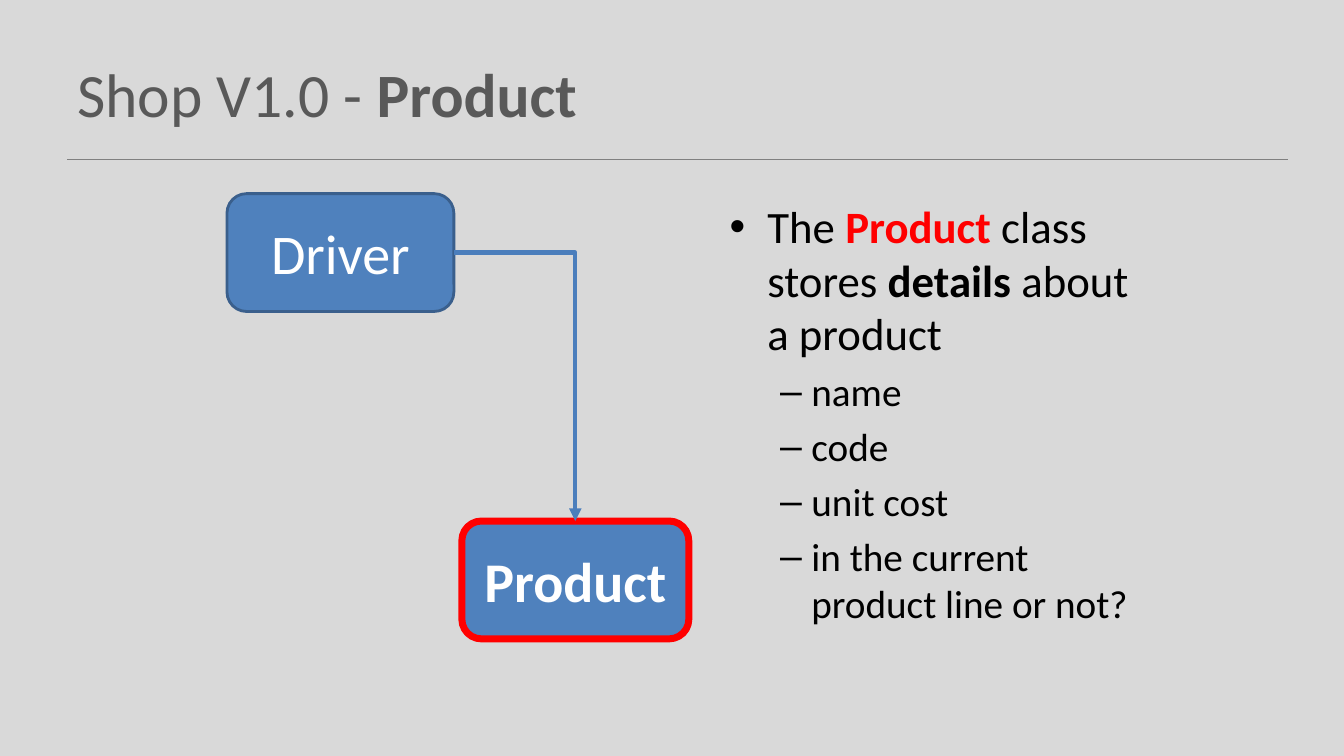
import pptx
import pptx.dml.color
import pptx.enum.shapes
import pptx.enum.text
import pptx.oxml
import pptx.oxml.ns
import pptx.util
from pptx.dml.color import RGBColor
from pptx.util import Cm

BACKGROUND = RGBColor(0xD9, 0xD9, 0xD9)
TITLE_GREY = RGBColor(0x59, 0x59, 0x59)
RULE_GREY = RGBColor(0x80, 0x80, 0x80)
BLUE = RGBColor(0x4F, 0x81, 0xBD)
BLUE_EDGE = RGBColor(0x3A, 0x5F, 0x8C)
ARROW_BLUE = RGBColor(0x4B, 0x7E, 0xBC)
RED = RGBColor(0xFF, 0x00, 0x00)
BLACK = RGBColor(0x00, 0x00, 0x00)
WHITE = RGBColor(0xFF, 0xFF, 0xFF)

FONT = "Calibri"
CLASS_BOX = Cm(5.72), Cm(2.97)
TOP_SITE, RIGHT_SITE = 0, 3


def add_runs(paragraph, runs, size):
    """Add (text, colour, bold) runs to the paragraph."""
    for text, colour, bold in runs:
        run = paragraph.add_run()
        run.text = text
        run.font.name = FONT
        run.font.size = pptx.util.Pt(size)
        run.font.color.rgb = colour
        run.font.bold = bold


def style_line(connector, colour, width):
    connector.line.color.rgb = colour
    connector.line.width = pptx.util.Pt(width)
    properties = connector._element.spPr
    properties.append(pptx.oxml.ns.qn and pptx.oxml.parse_xml(
        f'<a:effectLst {pptx.oxml.ns.nsdecls("a")}/>'))


def set_bullet(paragraph, symbol, indent, hanging):
    properties = paragraph._p.get_or_add_pPr()
    properties.set("marL", str(indent))
    properties.set("indent", str(-hanging))
    namespace = pptx.oxml.ns.nsdecls("a")
    properties.append(pptx.oxml.parse_xml(f'<a:buFont {namespace} typeface="Arial"/>'))
    properties.append(pptx.oxml.parse_xml(f'<a:buChar {namespace} char="{symbol}"/>'))


def add_heading(slide, left, top, width, height):
    heading = slide.shapes.add_textbox(left, top, width, height).text_frame
    heading.word_wrap = True
    heading.vertical_anchor = pptx.enum.text.MSO_ANCHOR.MIDDLE
    add_runs(heading.paragraphs[0],
             [("Shop V1.0 - ", TITLE_GREY, False), ("Product", TITLE_GREY, True)], 44)
    rule_y = top + height + Cm(0.08)
    rule = slide.shapes.add_connector(pptx.enum.shapes.MSO_CONNECTOR.STRAIGHT,
                                      left, rule_y, left + Cm(30.76), rule_y)
    style_line(rule, RULE_GREY, 1)


def add_class_box(slide, left, top, class_name, edge, edge_width, bold):
    box = slide.shapes.add_shape(pptx.enum.shapes.MSO_SHAPE.ROUNDED_RECTANGLE,
                                 left, top, *CLASS_BOX)
    box.shadow.inherit = False
    box.fill.solid()
    box.fill.fore_color.rgb = BLUE
    box.line.color.rgb = edge
    box.line.width = pptx.util.Pt(edge_width)
    box.text_frame.vertical_anchor = pptx.enum.text.MSO_ANCHOR.MIDDLE
    label = box.text_frame.paragraphs[0]
    label.alignment = pptx.enum.text.PP_ALIGN.CENTER
    add_runs(label, [(class_name, WHITE, bold)], 40)
    return box


def add_class_diagram(slide, left, top):
    driver = add_class_box(slide, left, top, "Driver", BLUE_EDGE, 2, False)
    product = add_class_box(slide, left + Cm(5.92), top + Cm(8.25),
                            "Product", RED, 5, True)
    arrow = slide.shapes.add_connector(pptx.enum.shapes.MSO_CONNECTOR.ELBOW, 0, 0, 0, 0)
    arrow.begin_connect(driver, RIGHT_SITE)
    arrow.end_connect(product, TOP_SITE)
    arrow._element.spPr.find(pptx.oxml.ns.qn("a:prstGeom")).set("prst", "bentConnector2")
    style_line(arrow, ARROW_BLUE, 3)
    arrow.line._get_or_add_ln().append(pptx.oxml.parse_xml(
        f'<a:tailEnd {pptx.oxml.ns.nsdecls("a")} type="triangle"/>'))


def add_description(slide, left, top, width, height):
    body = slide.shapes.add_textbox(left, top, width, height).text_frame
    body.word_wrap = True
    summary = body.paragraphs[0]
    set_bullet(summary, "•", Cm(0.95), Cm(0.95))
    add_runs(summary, [("The ", BLACK, False), ("Product", RED, True),
                       (" class stores ", BLACK, False), ("details", BLACK, True),
                       (" about a product", BLACK, False)], 32)
    for detail in ("name", "code", "unit cost", "in the current product line or not?"):
        item = body.add_paragraph()
        item.level = 1
        item.space_before = pptx.util.Pt(5.6)
        set_bullet(item, "–", Cm(2.06), Cm(0.79))
        add_runs(item, [(detail, BLACK, False)], 28)


def main():
    deck = pptx.Presentation()
    deck.slide_width, deck.slide_height = Cm(33.87), Cm(19.05)
    slide = deck.slides.add_slide(deck.slide_layouts[6])
    slide.background.fill.solid()
    slide.background.fill.fore_color.rgb = BACKGROUND
    add_heading(slide, Cm(1.7), Cm(0.76), Cm(30.48), Cm(3.18))
    add_description(slide, Cm(18.14), Cm(4.88), Cm(10.59), Cm(12.57))
    add_class_diagram(slide, Cm(5.72), Cm(4.88))
    deck.save("out.pptx")


if __name__ == "__main__":
    main()
